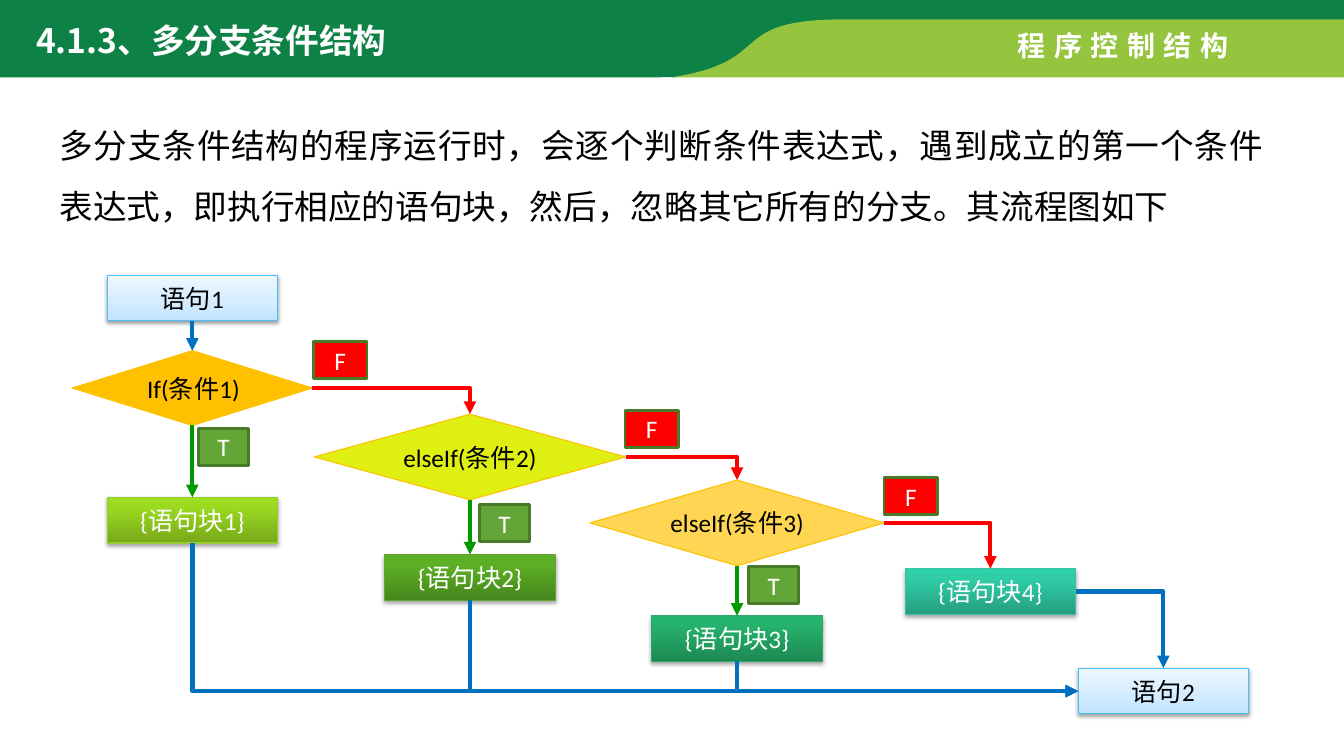
from dataclasses import dataclass

from lxml import etree
from pptx import Presentation
from pptx import util as u
from pptx.dml import color
from pptx.enum import shapes, text
from pptx.oxml import ns

COLUMNS, ROWS = 160, 90
TOP, LEFT, BOTTOM, RIGHT = range(4)


@dataclass(frozen=True)
class Theme:
    heading_font: str = "Noto Sans CJK SC"
    body_font: str = "Arial"
    flow_font: str = "Calibri"
    heading_size: int = 24
    course_size: int = 20
    flow_size: int = 18
    band: str = "0E8146"
    wave: str = "95C53E"
    ink: str = "000000"
    paper: str = "FFFFFF"
    step: str = "0070C0"
    true_path: str = "009900"
    false_path: str = "FF0000"
    true_tag: str = "63A537"
    tag_edge: str = "497A29"
    test_edge: str = "FFC000"
    tests: tuple = ("FFC000", "DFEF11", "FFD653")
    statement: tuple = ("4BC0F8", ((0, "BFE4FF"), (35, "D2EBFF"), (100, "EEF7FF")))
    branches: tuple = (
        ("97CA33", ((0, "77A819"), (80, "9BDA21"), (100, "9DDF1D"))),
        ("60A433", ((0, "47871D"), (80, "5DB025"), (100, "5DB323"))),
        ("33A66D", ((0, "1D8953"), (80, "25B26C"), (100, "22B66C"))),
        ("3FC0A1", ((0, "259E81"), (80, "30CDA7"), (100, "2DD1AA"))),
    )


def rgb(value):
    return color.RGBColor.from_string(value)


def add_xml(parent, tag, **attributes):
    return etree.SubElement(parent, ns.qn(tag), attributes)


class FlowSlide:
    def __init__(self, deck, theme):
        self.theme = theme
        self.slide = deck.slides.add_slide(deck.slide_layouts[6])
        self.column = deck.slide_width / COLUMNS
        self.row = deck.slide_height / ROWS

    def place(self, x, y):
        return round(x * self.column), round(y * self.row)

    def add_words(self, frame, words, font, size, ink, align, bold=False, spacing=0):
        paragraph = frame.paragraphs[0]
        paragraph.alignment = align
        run = paragraph.add_run()
        run.text = words
        run.font.name, run.font.size, run.font.bold = font, u.Pt(size), bold
        run.font.color.rgb = rgb(ink)
        properties = run._r.get_or_add_rPr()
        add_xml(properties, "a:ea", typeface=self.theme.heading_font)
        if spacing:
            properties.set("spc", str(spacing * 100))
        return paragraph

    def caption(self, box, words, font, size, ink, align=text.PP_ALIGN.LEFT,
                wrap=True, **style):
        left, top, width, height = box
        frame = self.slide.shapes.add_textbox(
            *self.place(left, top), *self.place(width, height)).text_frame
        frame.word_wrap = wrap
        frame.auto_size = text.MSO_AUTO_SIZE.SHAPE_TO_FIT_TEXT
        return self.add_words(frame, words, font, size, ink, align, **style)

    def outline(self, start, steps, fill):
        points, current = [], start
        for step in steps:
            if len(step) == 2:
                points.append(step)
                current = step
                continue
            a, b, end = step
            for i in range(1, 33):
                t = i / 32
                points.append(tuple(
                    (1 - t) ** 3 * p + 3 * (1 - t) ** 2 * t * q
                    + 3 * (1 - t) * t ** 2 * r + t ** 3 * s
                    for p, q, r, s in zip(current, a, b, end)))
            current = end
        builder = self.slide.shapes.build_freeform(*self.place(*start))
        builder.add_line_segments([self.place(*point) for point in points])
        area = builder.convert_to_shape()
        area.shadow.inherit = False
        area.fill.solid()
        area.fill.fore_color.rgb = rgb(fill)
        area.line.fill.background()

    def node(self, kind, box, words, ink, edge, weight, fill=None, margins=None):
        left, top, width, height = box
        node = self.slide.shapes.add_shape(
            kind, *self.place(left, top), *self.place(width, height))
        node.shadow.inherit = False
        if fill:
            node.fill.solid()
            node.fill.fore_color.rgb = rgb(fill)
        node.line.color.rgb, node.line.width = rgb(edge), u.Pt(weight)
        frame = node.text_frame
        frame.word_wrap = True
        frame.vertical_anchor = text.MSO_ANCHOR.MIDDLE
        if margins:
            frame.margin_left, frame.margin_right = map(u.Inches, margins)
            frame.margin_top = frame.margin_bottom = 0
        self.add_words(frame, words, self.theme.flow_font, self.theme.flow_size,
                       ink, text.PP_ALIGN.CENTER)
        return node

    def block(self, center, top, words, ink, look, depth, shade):
        edge, stops = look
        width, height = 20.3, 5.45
        block = self.node(shapes.MSO_SHAPE.RECTANGLE,
                          (center - width / 2, top, width, height),
                          words, ink, edge, 0.75)
        block.fill.gradient()
        block.fill.gradient_angle = 90
        properties = block._element.spPr
        stop_list = properties.find(".//" + ns.qn("a:gsLst"))
        for stop in list(stop_list):
            stop_list.remove(stop)
        for position, tint in stops:
            stop = add_xml(stop_list, "a:gs", pos=str(position * 1000))
            add_xml(stop, "a:srgbClr", val=tint)
        shadow = add_xml(properties.find(ns.qn("a:effectLst")), "a:outerShdw",
                         blurRad=str(u.Pt(3.1)), dist=str(u.Pt(depth)),
                         dir="5400000", rotWithShape="0")
        shadow_ink = add_xml(shadow, "a:srgbClr", val=self.theme.ink)
        add_xml(shadow_ink, "a:alpha", val=str(shade * 1000))
        return block

    def statement(self, center, top, words):
        return self.block(center, top, words, self.theme.ink,
                          self.theme.statement, 1.6, 38)

    def branch(self, center, top, words, look):
        return self.block(center, top, words, self.theme.paper, look, 1.8, 35)

    def test(self, center, top, size, words, fill, margins):
        return self.node(shapes.MSO_SHAPE.DIAMOND, (center - size[0] / 2, top, *size),
                         words, self.theme.ink, self.theme.test_edge, 0.75, fill, margins)

    def tag(self, left, top, words, width, fill):
        self.node(shapes.MSO_SHAPE.RECTANGLE, (left, top, width, 4.4), words,
                  self.theme.paper, self.theme.tag_edge, 2, fill)

    def arrow(self, source, source_side, target, target_side, ink):
        straight = (source_side, target_side) == (BOTTOM, TOP)
        kind = shapes.MSO_CONNECTOR.STRAIGHT if straight else shapes.MSO_CONNECTOR.ELBOW
        arrow = self.slide.shapes.add_connector(kind, 0, 0, 0, 0)
        arrow.begin_connect(source, source_side)
        arrow.end_connect(target, target_side)
        properties = arrow._element.spPr
        if not straight:
            properties.find(ns.qn("a:prstGeom")).set("prst", "bentConnector2")
        if source_side == BOTTOM and not straight:
            across, down = arrow.width, arrow.height
            arrow.left += (across - down) // 2
            arrow.top += (down - across) // 2
            arrow.width, arrow.height = down, across
            frame = properties.find(ns.qn("a:xfrm"))
            frame.set("rot", "16200000")
            frame.set("flipH", "1")
        arrow.line.color.rgb, arrow.line.width = rgb(ink), u.Pt(3)
        add_xml(properties.find(ns.qn("a:ln")), "a:tailEnd", type="triangle")
        add_xml(properties, "a:effectLst")


def main():
    deck = Presentation()
    deck.slide_width, deck.slide_height = u.Inches(13.33), u.Inches(7.5)
    theme = Theme()
    page = FlowSlide(deck, theme)

    page.outline((0, -0.36), [(160, -0.36), (160, 2.9), (99.25, 2.9), (97.1, 3.35),
                              ((87.25, 5.3), (92.4, 9.2), (78.6, 9.2)), (0, 9.2)],
                 theme.band)
    page.outline((100.7, 2.3), [(160, 2.3), (160, 9.2), (80, 9.2),
                                ((92.75, 7.2), (86, 2.3), (100.7, 2.3))], theme.wave)
    page.caption((120, 2.76, 28.7, 5.3), "程序控制结构", theme.body_font,
                 theme.course_size, theme.paper, wrap=False, bold=True, spacing=6)
    page.caption((3.12, 1.8, 45.25, 6), "4.1.3、多分支条件结构", theme.heading_font,
                 theme.heading_size, theme.paper, bold=True)
    summary = page.caption(
        (5.9, 11.9, 145.7, 15.7),
        "多分支条件结构的程序运行时，会逐个判断条件表达式，遇到成立的第一个条件表达式，"
        "即执行相应的语句块，然后，忽略其它所有的分支。其流程图如下",
        theme.body_font, theme.heading_size, theme.ink, text.PP_ALIGN.JUSTIFY)
    summary.line_spacing = 1.5

    centers = (22.9, 55.95, 87.75, 117.9)
    branches = [page.branch(center, top, f"{{语句块{number}}}", look)
                for number, (center, top, look) in enumerate(
                    zip(centers, (59.2, 66, 73.3, 67.7), theme.branches), 1)]
    first = page.statement(centers[0], 32.75, "语句1")
    last = page.statement(138.5, 79.55, "语句2")
    test_plan = (
        (41.75, (28.6, 8.9), "If(条件1)", (0.12, 0.1)),
        (49.3, (37.1, 10.2), "elseIf(条件2)", None),
        (57.15, (35.05, 10.2), "elseIf(条件3)", (0.04, 0.04)),
    )
    tests = [page.test(center, top, size, words, fill, margins)
             for center, fill, (top, size, words, margins)
             in zip(centers, theme.tests, test_plan)]

    page.arrow(first, BOTTOM, tests[0], TOP, theme.step)
    for test, branch, otherwise in zip(tests, branches, tests[1:] + branches[3:]):
        page.arrow(test, BOTTOM, branch, TOP, theme.true_path)
        page.arrow(test, RIGHT, otherwise, TOP, theme.false_path)
        page.arrow(branch, BOTTOM, last, LEFT, theme.step)
    page.arrow(branches[3], RIGHT, last, TOP, theme.step)

    for left, top in ((23.65, 51), (57.1, 60.1), (89.15, 67.45)):
        page.tag(left, top, "T", 5.9, theme.true_tag)
    for left, top in ((37.3, 40.65), (74.4, 48.85), (105.25, 56.85)):
        page.tag(left, top, "F", 6.4, theme.false_path)

    deck.save("out.pptx")


if __name__ == "__main__":
    main()
